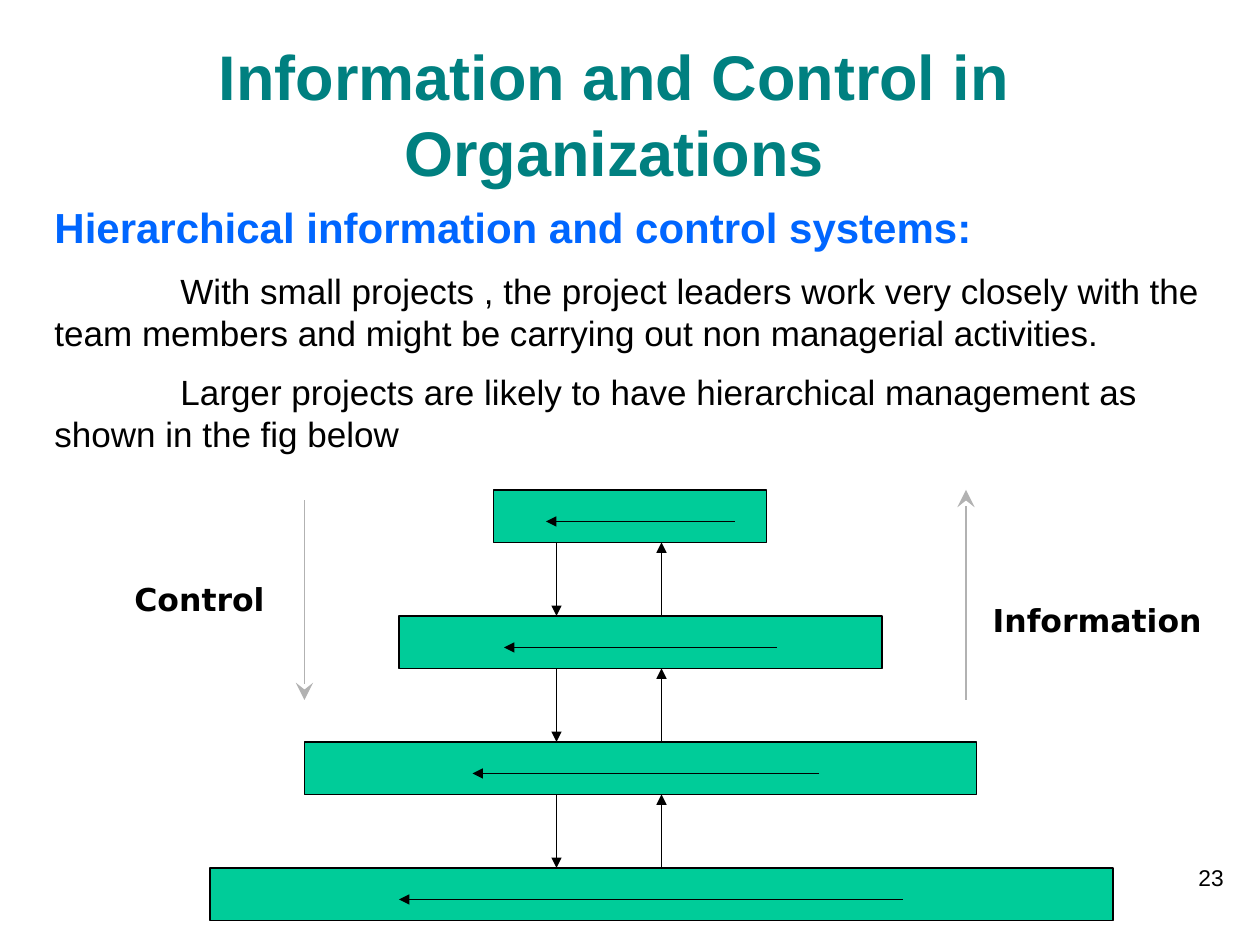
from lxml import etree
from pptx import Presentation
from pptx.dml.color import RGBColor
from pptx.enum.shapes import MSO_CONNECTOR, MSO_SHAPE
from pptx.enum.text import PP_ALIGN
from pptx.oxml.ns import qn
from pptx.util import Emu, Pt

LEFT, CENTER, RIGHT = PP_ALIGN.LEFT, PP_ALIGN.CENTER, PP_ALIGN.RIGHT
RECT = MSO_SHAPE.RECTANGLE
STRAIGHT = MSO_CONNECTOR.STRAIGHT
SCALE = 914400 / 252  # EMU per px, 252 px to the inch
BLACK = "000000"


def add_text(text, x, y, w, h, size=18, color=BLACK, bold=False,
             font="Arial", align=LEFT, box=None):
    """Add a text box, or append a paragraph to box; return the box."""
    if box is None:
        box = slide.shapes.add_textbox(*[Emu(round(n * SCALE)) for n in (x, y, w, h)])
        box.text_frame.word_wrap = True
        p = box.text_frame.paragraphs[0]
    else:
        p = box.text_frame.add_paragraph()
        p.space_before = Pt(10)
    p.alignment = align
    if text.startswith("\t"):
        tabs = etree.SubElement(p._p.get_or_add_pPr(), qn("a:tabLst"))
        etree.SubElement(tabs, qn("a:tab"), pos="914400", algn="l")
    r = p.add_run()
    r.text = text
    r.font.name, r.font.size, r.font.bold = font, Pt(size), bold
    r.font.color.rgb = RGBColor.from_string(color)
    return box


def add_arrow(x1, y1, x2, y2, color=BLACK, head="triangle", head_size="med"):
    ends = [Emu(round(n * SCALE)) for n in (x1, y1, x2, y2)]
    sp = slide.shapes.add_connector(STRAIGHT, *ends)
    sp.line.width = Pt(0.75)
    sp.line.color.rgb = RGBColor.from_string(color)
    etree.SubElement(sp.line._get_or_add_ln(), qn("a:tailEnd"),
                     type=head, w=head_size, len=head_size)
    etree.SubElement(sp._element.spPr, qn("a:effectLst"))


prs = Presentation()
prs.slide_width, prs.slide_height = Emu(round(2520 * SCALE)), Emu(round(1890 * SCALE))
slide = prs.slides.add_slide(prs.slide_layouts[6])

add_text("Information and Control in Organizations", 126, 63, 2205, 328,
         size=36, color="008080", bold=True, align=CENTER)

body_area = (84, 390, 2436, 546)
body = add_text("Hierarchical information and control systems:", *body_area,
                size=24, color="0066FF", bold=True)
for text in (
    "\tWith small projects , the project leaders work very closely with the "
    "team members and might be carrying out non managerial activities.",
    "\tLarger projects are likely to have hierarchical management as "
    "shown in the fig below",
):
    add_text(text, *body_area, size=20, box=body)

# Management levels, top to bottom: box left, box width, arrow start, arrow end
levels = [
    (987, 546, 1470, 1092),
    (798, 966, 1554, 1008),
    (609, 1344, 1638, 945),
    (420, 1806, 1806, 798),
]
TOP, PITCH, BOX_H = 980, 252, 105
DOWN_X, UP_X = 1113, 1323
for i, (x, w, start, end) in enumerate(levels):
    y = TOP + i * PITCH
    sp = slide.shapes.add_shape(RECT, *[Emu(round(n * SCALE)) for n in (x, y, w, BOX_H)])
    sp.shadow.inherit = False
    sp.fill.solid()
    sp.fill.fore_color.rgb = RGBColor.from_string("00CC99")
    sp.line.color.rgb = RGBColor.from_string(BLACK)
    sp.line.width = Pt(0.75)
    add_arrow(start, y + 63, end, y + 63)
    if i:
        above = y - PITCH + BOX_H
        add_arrow(DOWN_X, above, DOWN_X, y)
        add_arrow(UP_X, y, UP_X, above)

for x, start, end in ((609, 1001, 1400), (1932, 1400, 980)):
    add_arrow(x, start, x, end, color="B2B2B2", head="stealth", head_size="lg")
for text, x, y, w in (("Control", 210, 1148, 378), ("Information", 1953, 1190, 483)):
    add_text(text, x, y, w, 100, bold=True, font="DejaVu Sans", align=CENTER)

add_text("23", 1948, 1715, 524, 126, size=13, align=RIGHT)

prs.save("out.pptx")
